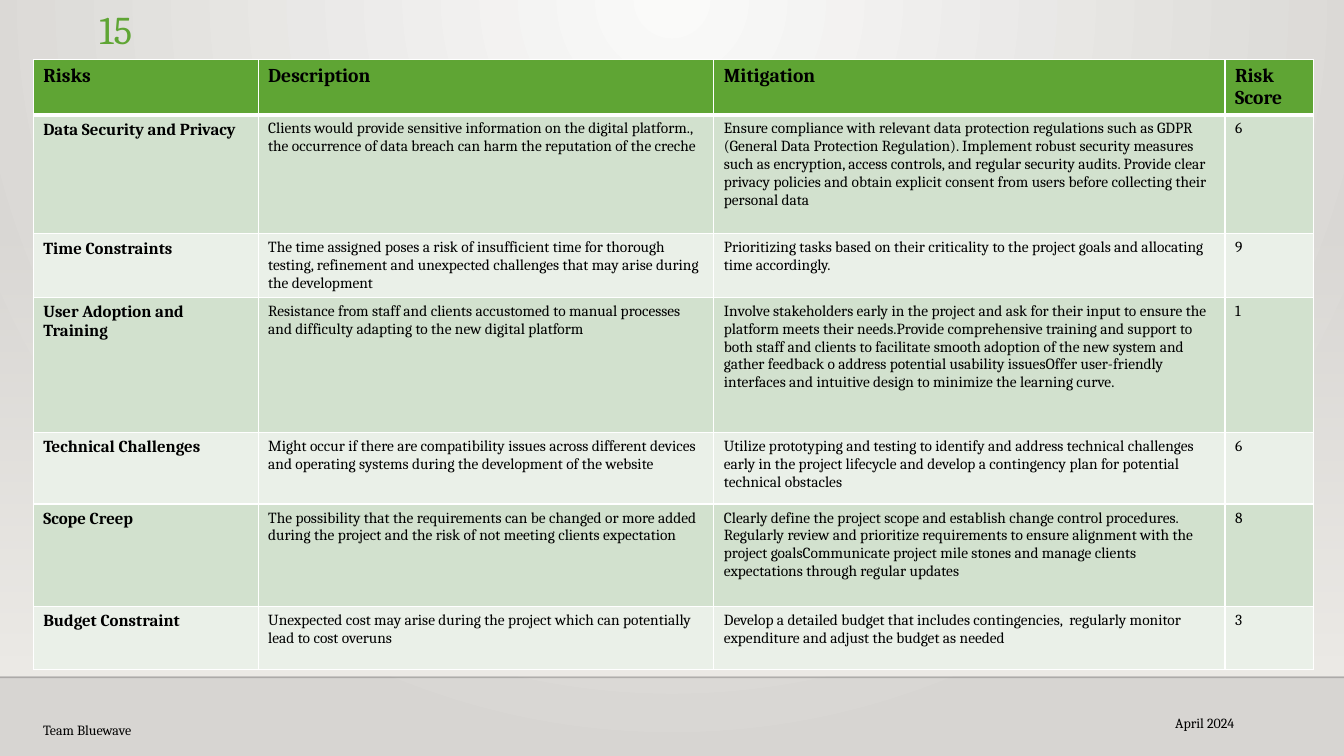
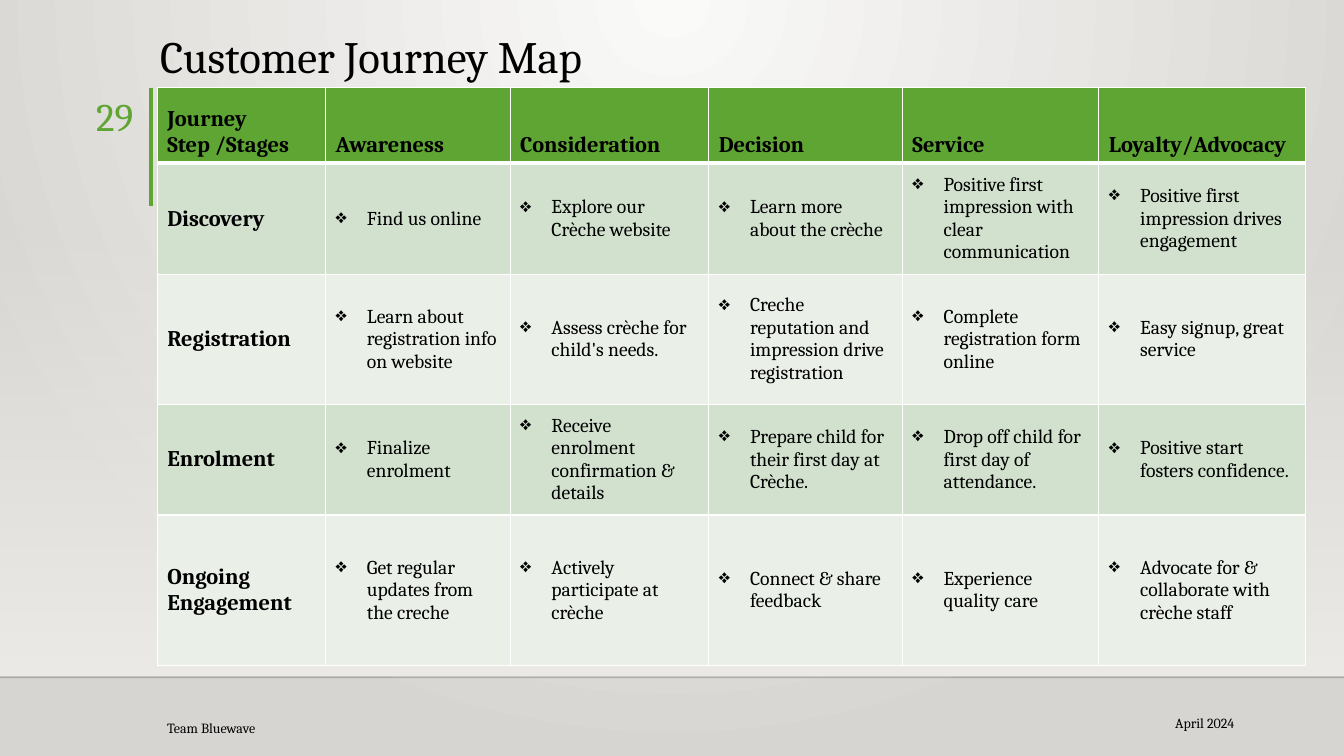
from lxml import etree
from pptx import Presentation
from pptx.dml.color import RGBColor
from pptx.enum import shapes, text
from pptx.oxml import ns
from pptx.util import Inches, Pt

# Shared look
FONT = "Cambria"
GREEN, BLACK, WHITE = "5FA534", "000000", "FFFFFF"
BANDS = ["D2E1CE", "EAF0E8"]
SAND = "EDEBE7"
LEFT, RIGHT = text.PP_ALIGN.LEFT, text.PP_ALIGN.RIGHT
TOP, MID, LOW = (text.MSO_ANCHOR.TOP, text.MSO_ANCHOR.MIDDLE,
                 text.MSO_ANCHOR.BOTTOM)

# Content
RISKS = [
    ("Risks", "Description", "Mitigation", "Risk Score"),
    ("Data Security and Privacy",
     "Clients would provide sensitive information on the digital platform., "
     "the occurrence of data breach can harm the reputation of the creche",
     "Ensure compliance with relevant data protection regulations such as GDPR "
     "(General Data Protection Regulation). Implement robust security measures "
     "such as encryption, access controls, and regular security audits. "
     "Provide clear privacy policies and obtain explicit consent from users "
     "before collecting their personal data", "6"),
    ("Time Constraints",
     "The time assigned poses a risk of insufficient time for thorough testing, "
     "refinement and unexpected challenges that may arise during the development",
     "Prioritizing tasks based on their criticality to the project goals and "
     "allocating time accordingly.", "9"),
    ("User Adoption and Training",
     "Resistance from staff and clients accustomed to manual processes and "
     "difficulty adapting to the new digital platform",
     "Involve stakeholders early in the project and ask for their input to "
     "ensure the platform meets their needs.Provide comprehensive training and "
     "support to both staff and clients to facilitate smooth adoption of the "
     "new system and gather feedback o address potential usability issuesOffer "
     "user-friendly interfaces and intuitive design to minimize the learning "
     "curve.", "1"),
    ("Technical Challenges",
     "Might occur if there are compatibility issues across different devices "
     "and operating systems during the development of the website",
     "Utilize prototyping and testing to identify and address technical "
     "challenges early in the project lifecycle and develop a contingency plan "
     "for potential technical obstacles", "6"),
    ("Scope Creep",
     "The possibility that the requirements can be changed or more added during "
     "the project and the risk of not meeting clients expectation",
     "Clearly define the project scope and establish change control procedures. "
     "Regularly review and prioritize requirements to ensure alignment with the "
     "project goalsCommunicate project mile stones and manage clients "
     "expectations through regular updates", "8"),
    ("Budget Constraint",
     "Unexpected cost may arise during the project which can potentially lead "
     "to cost overuns",
     "Develop a detailed budget that includes contingencies,  regularly monitor "
     "expenditure and adjust the budget as needed", "3"),
]
JOURNEY = [
    ("Journey Step /Stages", "Awareness", "Consideration", "Decision",
     "Service", "Loyalty/Advocacy"),
    ("Discovery", "Find us online", "Explore our Crèche website",
     "Learn more about the crèche",
     "Positive first impression with clear communication",
     "Positive first impression drives engagement"),
    ("Registration", "Learn about registration info on website",
     "Assess crèche for child's needs.",
     "Creche reputation and impression drive registration",
     "Complete registration form online", "Easy signup, great service"),
    ("Enrolment", "Finalize enrolment",
     "Receive enrolment confirmation & details",
     "Prepare child for their first day at Crèche.",
     "Drop off child for first day of attendance.",
     "Positive start fosters confidence."),
    ("Ongoing Engagement", "Get regular updates from the creche",
     "Actively participate at crèche", "Connect & share feedback",
     "Experience quality care",
     "Advocate for & collaborate with crèche staff"),
]
SLIDES = [
    dict(title=None, num=("15", 0.46, 0, 0.95, 0.59),
         team=(0.33, 7.05, 8.69, 0.38),
         rows=RISKS, at=(0.33, 0.59), wide=[2.23, 4.52, 5.07, 0.88],
         high=[0.55, 1.18, 0.62, 1.34, 0.71, 1.02, 0.62],
         sizes=(14, 12, 11), anchors=(TOP, TOP), mark=False),
    dict(title="Customer Journey Map", num=("29", 0.53, 0.87, 0.89, 0.55),
         team=(1.56, 7.05, 6.4, 0.34),
         rows=JOURNEY, at=(1.56, 0.87),
         wide=[1.67, 1.83, 1.97, 1.92, 1.95, 2.05],
         high=[0.75, 1.1, 1.29, 1.1, 1.49],
         sizes=(16, 16, 14), anchors=(LOW, MID), mark=True),
]


def rgb(code):
    return RGBColor.from_string(code)


def sub(node, tag, **attrs):
    return etree.SubElement(node, ns.qn(tag), attrs)


def style(para, size, color=BLACK, bold=False):
    font = para.font
    font.name, font.size, font.bold = FONT, Pt(size), bold
    font.color.rgb = rgb(color)


def blend(fill, first, last):
    fill.gradient()
    for stop, code in zip(fill.gradient_stops, (first, last)):
        stop.color.rgb = rgb(code)


def fade(node, amount):
    sub(next(node.iter(ns.qn("a:srgbClr"))), "a:alpha", val=str(amount * 1000))


def label(slide, words, box, size, color=BLACK, align=LEFT, anchor=MID):
    frame = slide.shapes.add_textbox(*map(Inches, box)).text_frame
    frame.word_wrap = True
    frame.vertical_anchor = anchor
    para = frame.paragraphs[0]
    para.text, para.alignment = words, align
    style(para, size, color)
    return para


def rule(slide, start, end, color, width):
    line = slide.shapes.add_connector(shapes.MSO_CONNECTOR.STRAIGHT,
                                      *map(Inches, start + end))
    line.line.color.rgb = rgb(color)
    line.line.width = Pt(width)
    sub(line._element.spPr, "a:effectLst")
    return line


def backdrop(slide):
    # Glow from the top centre
    blend(slide.background.fill, "FAFAF9", "D7D5D2")
    grad = next(slide._element.iter(ns.qn("a:gradFill")))
    grad.remove(grad.find(ns.qn("a:lin")))
    glow = sub(grad, "a:path", path="circle")
    sub(glow, "a:fillToRect", l="43000", t="0", r="43000", b="100000")
    # Wall that fades in downwards, and the floor line
    wall = slide.shapes.add_shape(shapes.MSO_SHAPE.RECTANGLE, 0, Inches(2.2),
                                  Inches(13.33), Inches(4.5))
    wall.shadow.inherit = False
    wall.line.fill.background()
    blend(wall.fill, SAND, SAND)
    wall.fill.gradient_angle = 270
    fade(wall._element.spPr, 0)
    floor = rule(slide, (0, 6.72), (13.33, 6.72), "000001", 1)
    fade(floor._element.spPr, 20)


def border(cell, row):
    props = cell._tc.get_or_add_tcPr()
    thick = {"T": row == 1, "B": row == 0}
    for spot, side in enumerate("LRTB"):
        width = Pt(3 if thick.get(side) else 1)
        line = etree.Element(ns.qn(f"a:ln{side}"), w=str(width))
        sub(sub(line, "a:solidFill"), "a:srgbClr", val=WHITE)
        props.insert(spot, line)


def bullet(para):
    props = para._p.get_or_add_pPr()
    indent = Inches(0.31)
    props.set("marL", str(indent))
    props.set("indent", str(-indent))
    sub(props, "a:buChar", char="❖")


def grid(slide, rows, at, wide, high, sizes, anchors, mark):
    box = (*at, sum(wide), sum(high))
    table = slide.shapes.add_table(len(rows), len(wide),
                                   *map(Inches, box)).table
    for col, width in zip(table.columns, wide):
        col.width = Inches(width)
    for line, height in zip(table.rows, high):
        line.height = Inches(height)
    head, side, body = sizes
    for r, row in enumerate(rows):
        for c, words in enumerate(row):
            cell = table.cell(r, c)
            cell.text = words
            cell.vertical_anchor = anchors[min(r, 1)]
            cell.fill.solid()
            cell.fill.fore_color.rgb = rgb(BANDS[(r - 1) % 2] if r else GREEN)
            border(cell, r)
            para = cell.text_frame.paragraphs[0]
            inner = r > 0 and c > 0
            if mark and inner:
                bullet(para)
            size = head if r == 0 else body if inner else side
            style(para, size, bold=not inner)


def build(deck, title, num, team, **table):
    slide = deck.slides.add_slide(deck.slide_layouts[6])
    backdrop(slide)
    if title:
        rule(slide, (1.5, 0.87), (1.5, 2.04), GREEN, 3)
        para = label(slide, title, (1.49, 0.28, 10.6, 0.59), 32, anchor=LOW)
        para.line_spacing = 0.9
    grid(slide, **table)
    # Page number and footers
    page, *box = num
    label(slide, page, box, 28, GREEN, RIGHT, TOP)
    label(slide, "Team Bluewave", team, 10)
    label(slide, "April 2024", (8.51, 7, 3.83, 0.34), 10, align=RIGHT)


def main():
    deck = Presentation()
    deck.slide_width, deck.slide_height = Inches(13.33), Inches(7.5)
    for page in SLIDES:
        build(deck, **page)
    deck.save("out.pptx")


if __name__ == "__main__":
    main()
